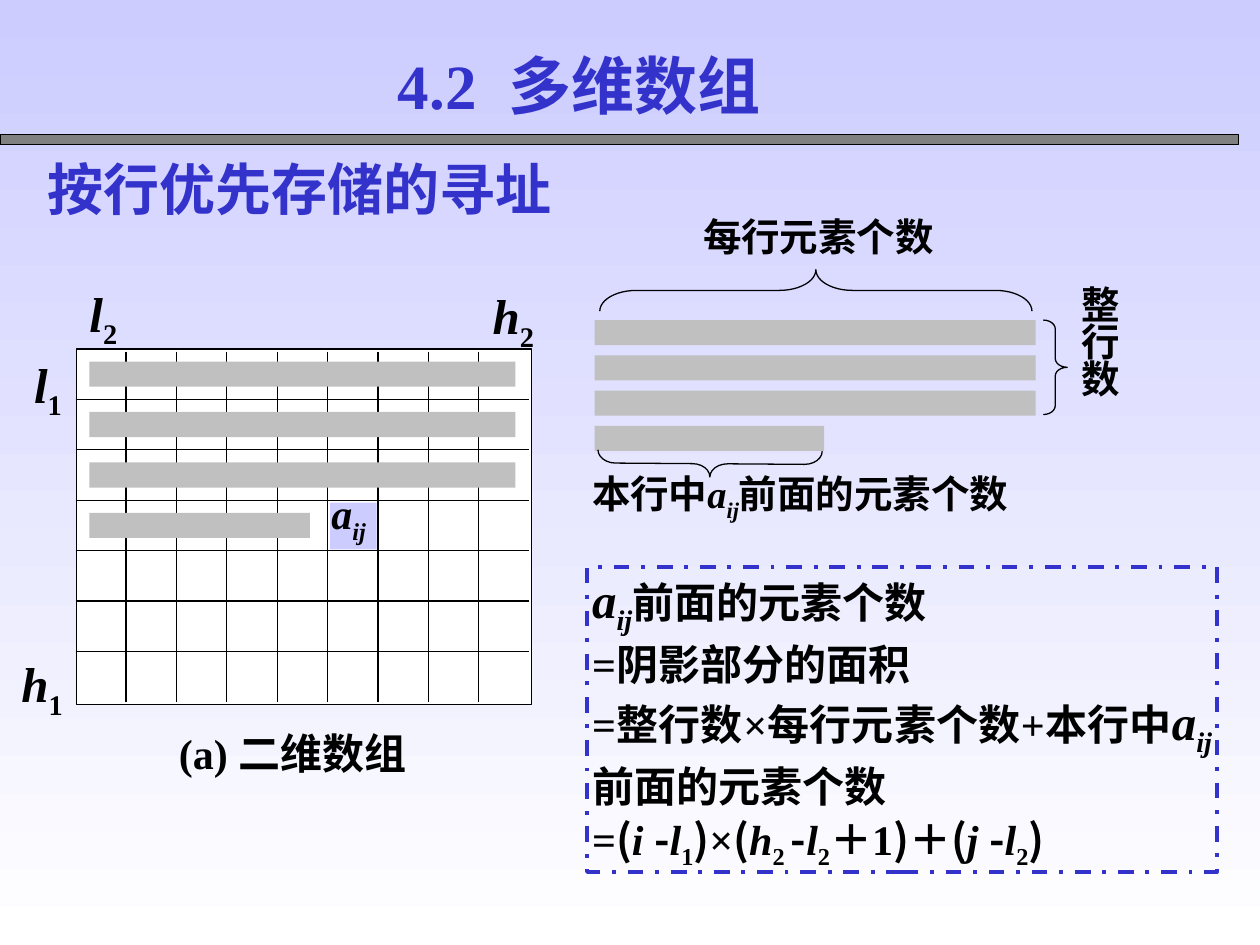
"""Build the slide on addressing a two-dimensional array stored by rows."""
from lxml import etree
from pptx import Presentation
from pptx import util as u
from pptx.dml.color import RGBColor
from pptx.enum import dml, shapes, text
from pptx.oxml.ns import qn

PX = 9144
BLACK = RGBColor(0, 0, 0)
WHITE = RGBColor(255, 255, 255)
BLUE = RGBColor(0x33, 0x33, 0xCC)
LAVENDER = RGBColor(0xCC, 0xCC, 0xFF)
SILVER = RGBColor(0xC0, 0xC0, 0xC0)
GRAY = RGBColor(0x80, 0x80, 0x80)
SERIF = "Times New Roman"
SANS = "Noto Sans CJK SC"
JUSTIFY = text.PP_ALIGN.JUSTIFY
RECT = shapes.MSO_SHAPE.RECTANGLE
LEFT_BRACE = shapes.MSO_SHAPE.LEFT_BRACE
RIGHT_BRACE = shapes.MSO_SHAPE.RIGHT_BRACE

deck = Presentation()
deck.slide_width, deck.slide_height = 1000 * PX, 750 * PX
page = deck.slides.add_slide(deck.slide_layouts[6])


def draw(kind, place, fill=None, line=None, width=0.75):
    shape = page.shapes.add_shape(kind, *(n * PX for n in place))
    shape.shadow.inherit = False
    if fill is None:
        shape.fill.background()
    else:
        shape.fill.solid()
        shape.fill.fore_color.rgb = fill
    if line is None:
        shape.line.fill.background()
    else:
        shape.line.color.rgb = line
        shape.line.width = u.Pt(width)
    return shape


def write(box, paragraphs, size, color=BLACK, align=JUSTIFY, spacing=None, inset=(0, 0)):
    frame = box.text_frame
    side, edge = (n * PX for n in inset)
    layout = {"word_wrap": True, "vertical_anchor": text.MSO_ANCHOR.TOP,
              "margin_left": side, "margin_right": side, "margin_top": edge, "margin_bottom": edge}
    for name, value in layout.items():
        setattr(frame, name, value)
    for index, spans in enumerate(paragraphs):
        para = frame.add_paragraph() if index else frame.paragraphs[0]
        para.alignment, para.line_spacing = align, spacing
        for words, marks, *own_size in spans:
            span = para.add_run()
            span.text = words
            looks = {"size": u.Pt(own_size[0] if own_size else size), "bold": True,
                     "italic": "i" in marks, "name": SANS if "k" in marks else SERIF}
            for name, value in looks.items():
                setattr(span.font, name, value)
            span.font.color.rgb = color
            props = span._r.get_or_add_rPr()
            etree.SubElement(props, qn("a:ea")).set("typeface", SANS)
            if "s" in marks:
                props.set("baseline", "-25000")
            if "w" in marks:
                props.set("spc", "900")


background = page.background.fill
background.gradient()
background.gradient_angle = 270
for stop, color, position in zip(background.gradient_stops, (LAVENDER, WHITE), (0, 1)):
    stop.color.rgb, stop.position = color, position

draw(RECT, (0, 107, 983, 8), GRAY, BLACK)
draw(RECT, (61, 277, 361, 282), WHITE, BLACK)
row_lines = [(60, y, 420, y) for y in range(317, 518, 40)]
column_lines = [(x, 279, x, 557) for x in range(100, 381, 40)]
for ends in row_lines + column_lines:
    rule = page.shapes.add_connector(shapes.MSO_CONNECTOR.STRAIGHT, *(n * PX for n in ends))
    rule.line.color.rgb, rule.line.width = BLACK, u.Pt(0.75)
    etree.SubElement(rule._element.spPr, qn("a:effectLst"))

for left, top, step, full, part in ((71, 287, 40, 338, 175), (472, 254, 28, 350, 182)):
    for row in range(4):
        draw(RECT, (left, top + row * step, full if row < 3 else part, 20), SILVER)
draw(RECT, (262, 399, 37, 37), LAVENDER)

braces = (
    (RIGHT_BRACE, (828, 254, 19, 75), 0, 0.37),
    (LEFT_BRACE, (631, 59, 33, 343), 90, 0.88),
    (LEFT_BRACE, (553, 279, 21, 178), 270.4, 0.67),
)
for kind, place, turn, curve in braces:
    brace = draw(kind, place, line=BLACK)
    brace.rotation = turn
    brace.adjustments[0] = curve

element = [("a", "i", 28), ("ij", "is", 28)]
before = ("前面的元素个数", "")
formula = [
    ("=", ""), ("(", "k"), ("i ", "i"), ("-", "k"), ("l", "i"), ("1", "s"), (")", "k"),
    ("×", ""), ("(", "k"), ("h", "i"), ("2 ", "s"), ("-", "k"), ("l", "i"), ("2", "s"),
    ("＋1", ""), (")", "k"), ("＋", ""), ("(", "k"), ("j ", "i"), ("-", "k"),
    ("l", "i"), ("2", "s"), (")", "k"),
]
derivation = draw(RECT, (466, 450, 500, 242), line=BLUE, width=2.25)
derivation.line.dash_style = dml.MSO_LINE.DASH_DOT
write(derivation, [
    element + [before],
    [("=阴影部分的面积", "")],
    [("=整行数×每行元素个数+本行中", "")] + element + [before],
    formula,
], 24, spacing=1.04, inset=(4, 0))

labels = [
    ((71, 225, 25, 40), [("l", "i"), ("2", "s")], 28, {}),
    ((391, 227, 42, 40), [("h", "i"), ("2", "s")], 28, {}),
    ((27, 281, 25, 40), [("l", "i"), ("1", "s")], 28, {}),
    ((17, 519, 42, 41), [("h", "i"), ("1", "s")], 28, {}),
    ((142, 577, 227, 65), [("(a) 二维数组", "")], 24, {}),
    ((470, 373, 390, 46), [("本行中", ""), ("a", "i"), ("ij", "is"), before], 22, {}),
    ((558, 169, 251, 38), [("每行元素个数", "")], 22, {}),
    ((858, 230, 38, 110), [("整行数", "")], 22, {"spacing": 0.8}),
    ((257, 386, 54, 48), [("a", "i"), ("ij", "is")], 24,
     {"align": text.PP_ALIGN.LEFT, "inset": (6, 1)}),
    ((28, 118, 883, 64), [("按行优先存储的寻址", "")], 32,
     {"color": BLUE, "align": text.PP_ALIGN.LEFT, "inset": (10, 5)}),
    ((202, 32, 515, 70), [("4.2", ""), (" ", "w"), ("多维数组", "")], 36,
     {"color": BLUE, "align": text.PP_ALIGN.CENTER, "inset": (10, 5)}),
]
for place, spans, size, options in labels:
    title = page.shapes.add_textbox(*(n * PX for n in place))
    write(title, [spans], size, **options)

for span in title.text_frame.paragraphs[0].runs:
    effects = etree.Element(qn("a:effectLst"))
    shadow = etree.SubElement(effects, qn("a:outerShdw"), dist="38100", dir="2700000")
    etree.SubElement(shadow, qn("a:srgbClr")).set("val", str(GRAY))
    span._r.get_or_add_rPr().insert(1, effects)

deck.save("out.pptx")
